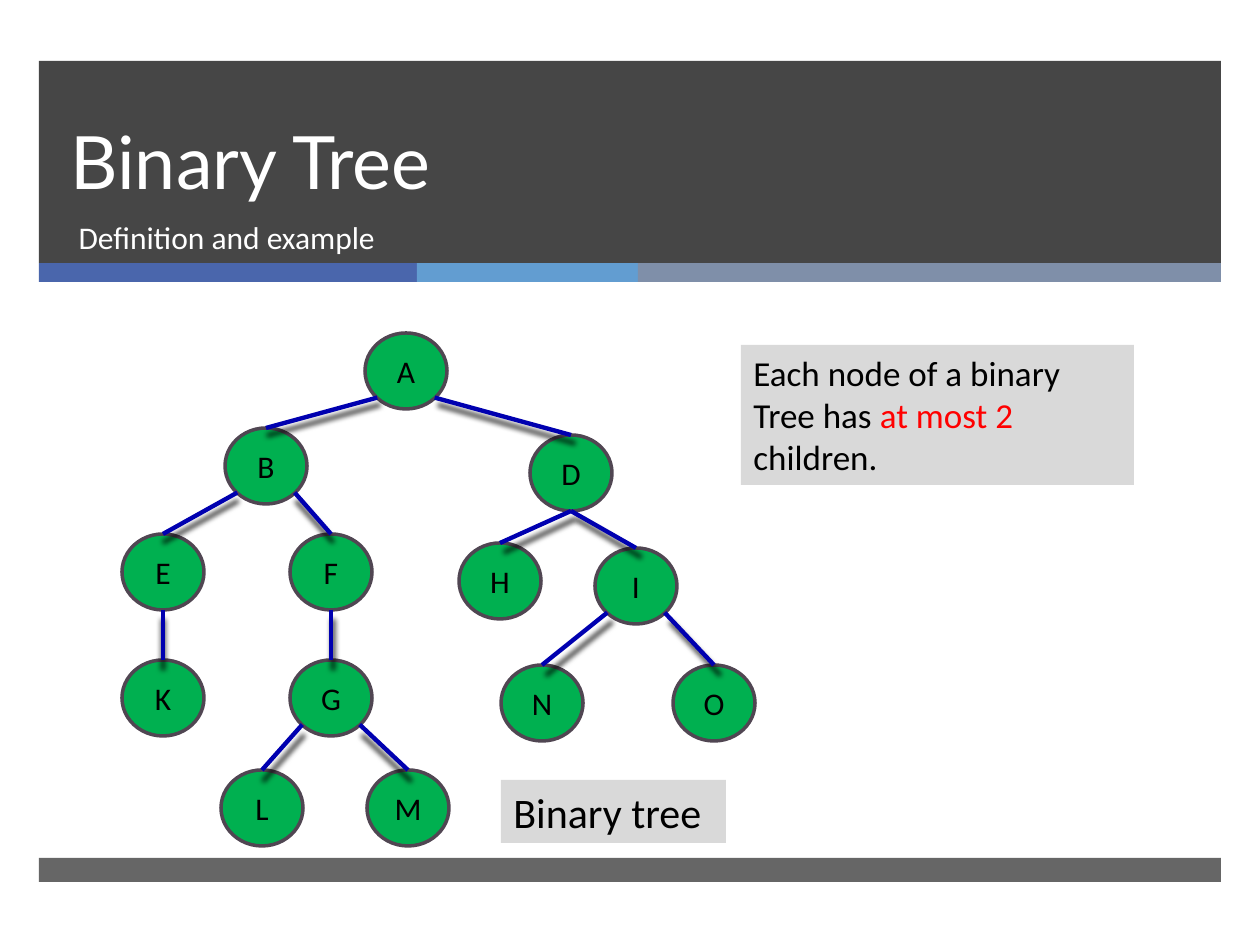
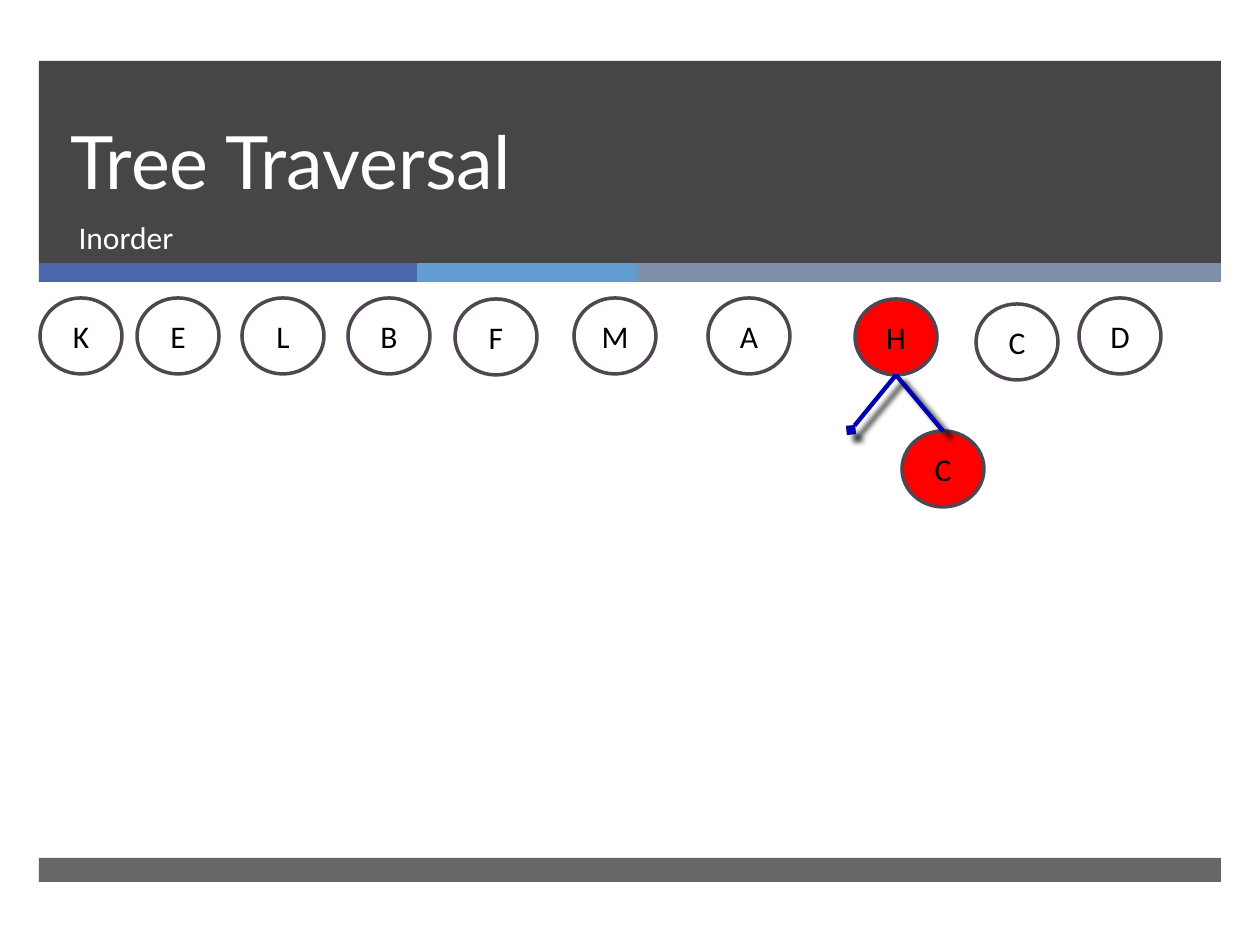
from lxml.etree import SubElement
from pptx import Presentation
from pptx.dml.color import RGBColor
from pptx.enum.shapes import MSO_CONNECTOR, MSO_SHAPE
from pptx.enum.text import MSO_ANCHOR, MSO_AUTO_SIZE, PP_ALIGN
from pptx.oxml import parse_xml
from pptx.oxml.ns import nsdecls, qn
from pptx.util import Emu, Inches, Pt

SHADE = (
    f'<a:effectLst {nsdecls("a")}><a:outerShdw blurRad="38100" dist="25400"'
    ' dir="6600000" sx="101000" sy="101000" rotWithShape="0">'
    '<a:srgbClr val="000000"><a:alpha val="75000"/></a:srgbClr>'
    '</a:outerShdw></a:effectLst>')


def px(n):
    return Emu(round(n * 914400 / 126))


def rgb(code):
    return RGBColor.from_string(code)


def write(frame, *runs, size=18, font="Calibri", color="000000",
          align=PP_ALIGN.LEFT, anchor=MSO_ANCHOR.TOP, lead=None,
          fit=MSO_AUTO_SIZE.NONE):
    """Each run is a string, or a pair of string and colour."""
    frame.word_wrap = True
    frame.auto_size = fit
    frame.vertical_anchor = anchor
    para = frame.paragraphs[0]
    para.alignment = align
    para.space_before = Pt(0)
    if lead:
        para.line_spacing = Pt(lead)
    for item in runs:
        text, tint = (item, color) if isinstance(item, str) else item
        run = para.add_run()
        run.text = text
        run.font.size = Pt(size)
        run.font.name = font
        run.font.bold = False
        run.font.color.rgb = rgb(tint)


class Deck:
    DARK, GREY, WHITE = "262626", "D9D9D9", "FFFFFF"
    GREEN, RED, BLUE, RIM = "00B050", "FF0000", "0000B0", "504652"
    WIDE, HIGH = 82, 76     # size of a node

    def __init__(self):
        self.prs = Presentation()
        self.prs.slide_width = Inches(10)
        self.prs.slide_height = Inches(7.5)

    def page(self, title, sub):
        self.slide = self.prs.slides.add_slide(self.prs.slide_layouts[0])
        head, body = self.slide.placeholders
        # Bands
        self.rect(39, 61, 1182, 202, self.DARK, 85)
        left = 39
        for wide, tint in ((378, "4A66AC"), (221, "629DD1"), (583, "7F8FA9")):
            self.rect(left, 263, wide, 19, tint)
            left += wide
        self.rect(39, 858, 1182, 24, self.DARK, 70)
        # Title and subtitle, above the bands
        self.place(head, 58, 61, 1076, 150)
        write(head.text_frame, title, size=42, font="Lato", color=self.WHITE,
              anchor=MSO_ANCHOR.BOTTOM, lead=46)
        self.place(body, 66, 212, 1068, 67)
        write(body.text_frame, sub, color=self.WHITE)

    def place(self, shape, x, y, w, h):
        shape.left, shape.top, shape.width, shape.height = map(px, (x, y, w, h))
        tree = self.slide.shapes.element
        tree.remove(shape.element)
        tree.append(shape.element)

    def shape(self, kind, x, y, w, h, fill):
        shape = self.slide.shapes.add_shape(kind, *map(px, (x, y, w, h)))
        shape.shadow.inherit = False
        if fill:
            shape.fill.solid()
            shape.fill.fore_color.rgb = rgb(fill)
        else:
            shape.fill.background()
        return shape

    def rect(self, x, y, w, h, fill, alpha=100):
        shape = self.shape(MSO_SHAPE.RECTANGLE, x, y, w, h, fill)
        shape.line.fill.background()
        if alpha < 100:
            tint = shape.element.spPr.find(".//" + qn("a:srgbClr"))
            SubElement(tint, qn("a:alpha"), val=str(alpha * 1000))
        return shape

    def note(self, x, y, w, h, *runs, size):
        box = self.rect(x, y, w, h, self.GREY)
        write(box.text_frame, *runs, size=size,
              fit=MSO_AUTO_SIZE.SHAPE_TO_FIT_TEXT)

    def node(self, name, x, y, fill=None):
        ball = self.shape(MSO_SHAPE.OVAL, x, y, self.WIDE, self.HIGH, fill)
        ball.line.color.rgb = rgb(self.RIM)
        ball.line.width = Pt(2)
        frame = ball.text_frame
        frame.margin_left = frame.margin_right = 0
        write(frame, name, align=PP_ALIGN.CENTER, anchor=MSO_ANCHOR.MIDDLE)

    def line(self, start, end, tail=None):
        line = self.slide.shapes.add_connector(
            MSO_CONNECTOR.STRAIGHT, *map(px, (*start, *end)))
        line.line.color.rgb = rgb(self.BLUE)
        line.line.width = Pt(2.5)
        if tail:
            SubElement(line.line._get_or_add_ln(), qn("a:tailEnd"), type=tail)
        line.element.spPr.append(parse_xml(SHADE))

    def rim(self, spot, side, drop):
        """Point on a node's rim, as steps of its radii from the centre."""
        x, y = spot
        return (x + self.WIDE / 2 * (1 + side), y + self.HIGH / 2 * (1 + drop))

    def edge(self, top, low, side):
        """Join the rim of a parent to the top of its child."""
        start = self.rim(top, side * 0.7, 0.7 if side else 1)
        self.line(start, self.rim(low, 0, -1))


deck = Deck()

# Binary tree: nodes, then edges as parent, child, side of the parent
deck.page("Binary Tree", "Definition and example")
deck.note(741, 345, 393, 140, "Each node of a binary Tree has ",
          ("at most 2", deck.RED), " children.", size=20)
spots = {
    "A": (365, 333), "B": (225, 428), "D": (530, 435), "E": (122, 534),
    "F": (290, 534), "I": (595, 548), "H": (459, 543), "G": (290, 660),
    "K": (122, 660), "M": (367, 770), "L": (221, 770), "O": (673, 665),
    "N": (501, 665)}
for name, spot in spots.items():
    deck.node(name, *spot, deck.GREEN)
for top, low, side in (
        ("A", "B", -1), ("F", "G", 0), ("A", "D", 1), ("B", "E", -1),
        ("B", "F", 1), ("G", "L", -1), ("G", "M", 1), ("E", "K", 0),
        ("D", "H", 0), ("D", "I", 0), ("I", "N", -1), ("I", "O", 1)):
    deck.edge(spots[top], spots[low], side)
deck.note(501, 780, 225, 63, "Binary tree", size=24)

# Inorder traversal: visited nodes in a row, the current subtree in red
deck.page("Tree Traversal", "Inorder")
for name, x, y in (
        ("K", 40, 298), ("E", 137, 298), ("L", 242, 298), ("B", 348, 298),
        ("F", 455, 299), ("M", 574, 298), ("A", 708, 298), ("C", 976, 304),
        ("D", 1079, 298)):
    deck.node(name, x, y, deck.WHITE if name == "E" else None)
root, leaf = (855, 299), (902, 431)
deck.node("H", *root, deck.RED)
deck.line(deck.rim(root, 0, 1), (851, 430), tail="diamond")
deck.node("C", *leaf, deck.RED)
deck.edge(root, leaf, 0)

deck.prs.save("out.pptx")
